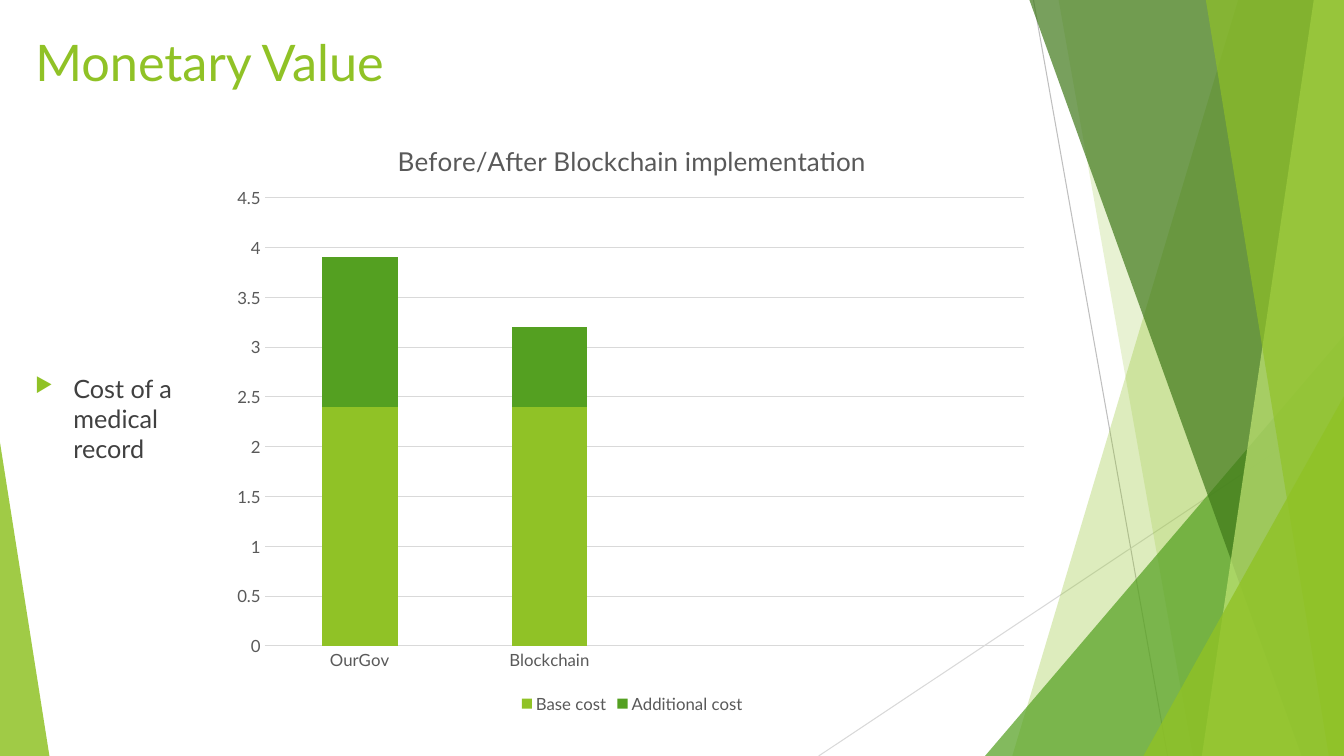
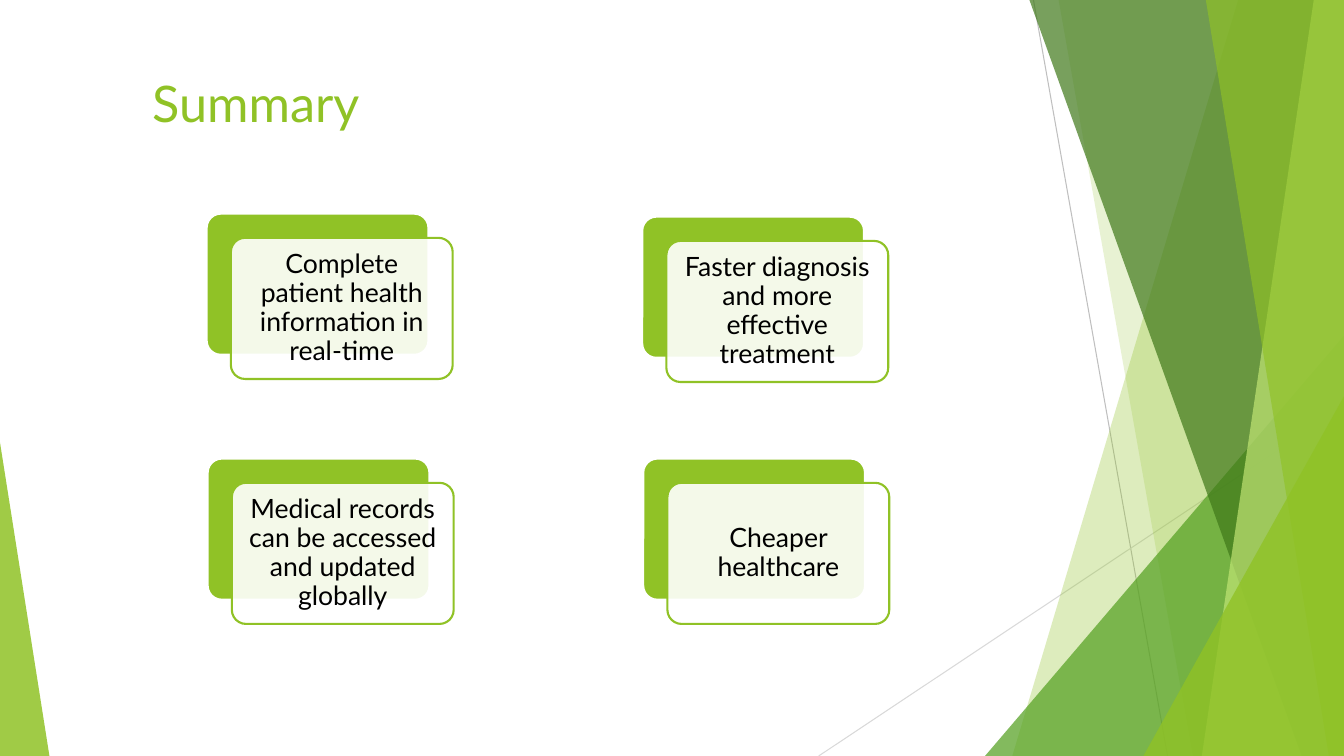
from dataclasses import dataclass
from lxml.etree import SubElement
from pptx import Presentation
from pptx.chart.data import CategoryChartData as ChartData
from pptx.dml.color import RGBColor
from pptx.enum.chart import XL_CHART_TYPE as Kind, XL_LEGEND_POSITION as Side, XL_TICK_MARK as Tick
from pptx.enum.shapes import MSO_CONNECTOR as Wire, MSO_SHAPE as Form
from pptx.enum.text import MSO_ANCHOR as Anchor, MSO_AUTO_SIZE as Fit, PP_ALIGN as Align
from pptx.oxml import parse_xml
from pptx.oxml.ns import nsdecls, qn
from pptx.util import Inches, Pt


@dataclass(frozen=True)
class Theme:
    font: str = "Lato"
    lime: str = "90C226"
    green: str = "54A021"
    forest: str = "3F7819"
    pale: str = "C0E474"
    white: str = "FFFFFF"
    black: str = "000000"
    ink: str = "404040"
    gray: str = "595959"
    rule: str = "D9D9D9"
    thread: str = "BFBFBF"
    title: float = 36
    body: float = 18
    card: float = 19
    chart: float = 18.6
    label: float = 12


T = Theme()
rgb = RGBColor.from_string


def paint(shape, color, alpha=100, edge=None):
    shape.shadow.inherit = False
    shape.fill.solid()
    shape.fill.fore_color.rgb = rgb(color)
    if alpha < 100:
        tint = shape.element.spPr.find(".//" + qn("a:srgbClr"))
        SubElement(tint, qn("a:alpha")).set("val", str(alpha * 1000))
    if edge:
        shape.line.color.rgb = rgb(edge)
        shape.line.width = Pt(1.5)
    else:
        shape.line.fill.background()


def style(font, size, color):
    font.name = T.font
    font.size = Pt(size)
    font.color.rgb = rgb(color)


prs = Presentation()
prs.slide_width = Inches(13.33)
prs.slide_height = Inches(7.5)
layout = prs.slide_layouts[5]

heads = [
    ("Monetary Value", (0.25, 0.26, 9.4, 1.44)),
    ("Summary", (1.41, 0.67, 11.15, 1.2)),
]
for text, box in heads:
    title = prs.slides.add_slide(layout).shapes.title
    title.left, title.top, title.width, title.height = map(Inches, box)
    frame = title.text_frame
    frame.text = text
    frame.word_wrap = True
    frame.auto_size = Fit.NONE
    frame.vertical_anchor = Anchor.TOP
    frame.paragraphs[0].alignment = Align.LEFT
    style(frame.paragraphs[0].runs[0].font, T.title, T.lime)
cost, recap = prs.slides

threads = [
    ((10.25, 0, 11.58, 7.5), T.thread),
    ((13.33, 4.03, 8.12, 7.5), T.rule),
]
for ends, color in threads:
    wire = cost.shapes.add_connector(Wire.STRAIGHT, *map(Inches, ends))
    wire.line.color.rgb = rgb(color)
    wire.line.width = Pt(0.75)
    SubElement(wire.element.spPr, qn("a:effectLst"))

panes = [
    ("veil", (12.28, 10.04), T.lime, 30),
    ("veil", (10.5, 11.83), T.lime, 20),
    ("peak", (9.77, 3.33, 3.56, 4.17, 1), T.green, 72),
    ("veil", (10.21, 12.91), T.forest, 70),
    ("veil", (13.03, 11.92), T.pale, 70),
    ("veil", (11.96, 13.18), T.lime, 65),
    ("peak", (11.34, 3.93, 1.99, 3.57, 1), T.lime, 80),
    ("peak", (0, 4.39, 0.49, 3.11, 0), T.lime, 85),
]
for kind, dims, color, alpha in panes:
    if kind == "veil":
        high, low = map(Inches, dims)
        path = cost.shapes.build_freeform(high, 0)
        path.add_line_segments([
            (prs.slide_width, 0), (prs.slide_width, prs.slide_height), (low, prs.slide_height),
        ])
        pane = path.convert_to_shape()
    else:
        pane = cost.shapes.add_shape(Form.ISOSCELES_TRIANGLE, *map(Inches, dims[:4]))
        pane.adjustments[0] = dims[4]
    paint(pane, color, alpha)

decor = [shape for shape in cost.shapes if not shape.is_placeholder]
for step, shape in enumerate(decor):
    shape.element.xpath(".//p:cNvPr")[0].set("id", str(20 + step))
    layout.shapes.element.insert(2 + step, shape.element)

note = cost.shapes.add_textbox(Inches(0.25), Inches(3.65), Inches(1.57), Inches(1.2))
note.text_frame.word_wrap = True
para = note.text_frame.paragraphs[0]
para.text = "Cost of a medical record"
para.space_before = Pt(10)
style(para.runs[0].font, T.body, T.ink)
props = para._p.get_or_add_pPr()
props.set("marL", str(Inches(0.38)))
props.set("indent", str(Inches(-0.38)))
SubElement(SubElement(props, qn("a:buClr")), qn("a:srgbClr")).set("val", T.lime)
SubElement(props, qn("a:buSzPct")).set("val", "80000")
SubElement(props, qn("a:buChar")).set("char", "▶")

data = ChartData()
data.categories = ["OurGov", "Blockchain", "", ""]
data.add_series("Base cost", (2.4, 2.4, None, None))
data.add_series("Additional cost", (1.5, 0.8, None, None))
box = map(Inches, (2.22, 1.19, 8.1, 5.93))
chart = cost.shapes.add_chart(Kind.COLUMN_STACKED, *box, data).chart
style(chart.font, T.label, T.gray)
chart.has_title = True
chart.chart_title.text_frame.text = "Before/After Blockchain implementation"
head = chart.chart_title.text_frame.paragraphs[0].runs[0].font
style(head, T.chart, T.gray)
head.bold = False
chart.chart_title.include_in_layout = False
chart.has_legend = True
chart.legend.position = Side.BOTTOM
chart.legend.include_in_layout = False
style(chart.legend.font, T.label, T.gray)

plot = chart.plots[0]
plot.gap_width = 150
plot.overlap = 100
plot.vary_by_categories = False
for series, color in zip(plot.series, (T.lime, T.green)):
    series.format.fill.solid()
    series.format.fill.fore_color.rgb = rgb(color)

cats, vals = chart.category_axis, chart.value_axis
vals.minimum_scale, vals.maximum_scale, vals.major_unit = 0, 4.5, 0.5
vals.has_major_gridlines = True
for axis in (cats, vals):
    axis.major_tick_mark = axis.minor_tick_mark = Tick.NONE
    style(axis.tick_labels.font, T.label, T.gray)
for line in (cats.format.line, vals.major_gridlines.format.line):
    line.color.rgb = rgb(T.rule)
    line.width = Pt(0.75)
vals.format.line.fill.background()
vals.tick_labels.number_format = "General"
vals.tick_labels.number_format_is_linked = False

area = chart.element.find(".//" + qn("c:plotArea"))
for old in area.findall(qn("c:layout")):
    area.remove(old)
area.insert(0, parse_xml(
    f'<c:layout {nsdecls("c")}><c:manualLayout><c:layoutTarget val="inner"/>'
    '<c:xMode val="edge"/><c:yMode val="edge"/><c:x val="0.05"/><c:y val="0.13"/>'
    '<c:w val="0.93"/><c:h val="0.75"/></c:manualLayout></c:layout>'
))

cards = [
    (2.05, 2.12, "Complete patient health information in real-time"),
    (2.06, 4.55, "Medical records can be accessed and updated globally"),
    (6.37, 2.15, "Faster diagnosis and more effective treatment"),
    (6.38, 4.55, "Cheaper healthcare"),
]
for left, top, text in cards:
    for shift, color, alpha, edge in ((0, T.lime, 100, T.white), (0.24, T.white, 90, T.lime)):
        card = recap.shapes.add_shape(
            Form.ROUNDED_RECTANGLE, Inches(left + shift), Inches(top + shift), Inches(2.2), Inches(1.4))
        card.adjustments[0] = 0.1
        paint(card, color, alpha, edge)
    frame = card.text_frame
    frame.text = text
    frame.word_wrap = True
    frame.vertical_anchor = Anchor.MIDDLE
    frame.margin_left = frame.margin_right = frame.margin_top = frame.margin_bottom = Inches(0.08)
    para = frame.paragraphs[0]
    para.alignment = Align.CENTER
    para.line_spacing = 0.9
    style(para.runs[0].font, T.card, T.black)

prs.save("out.pptx")
